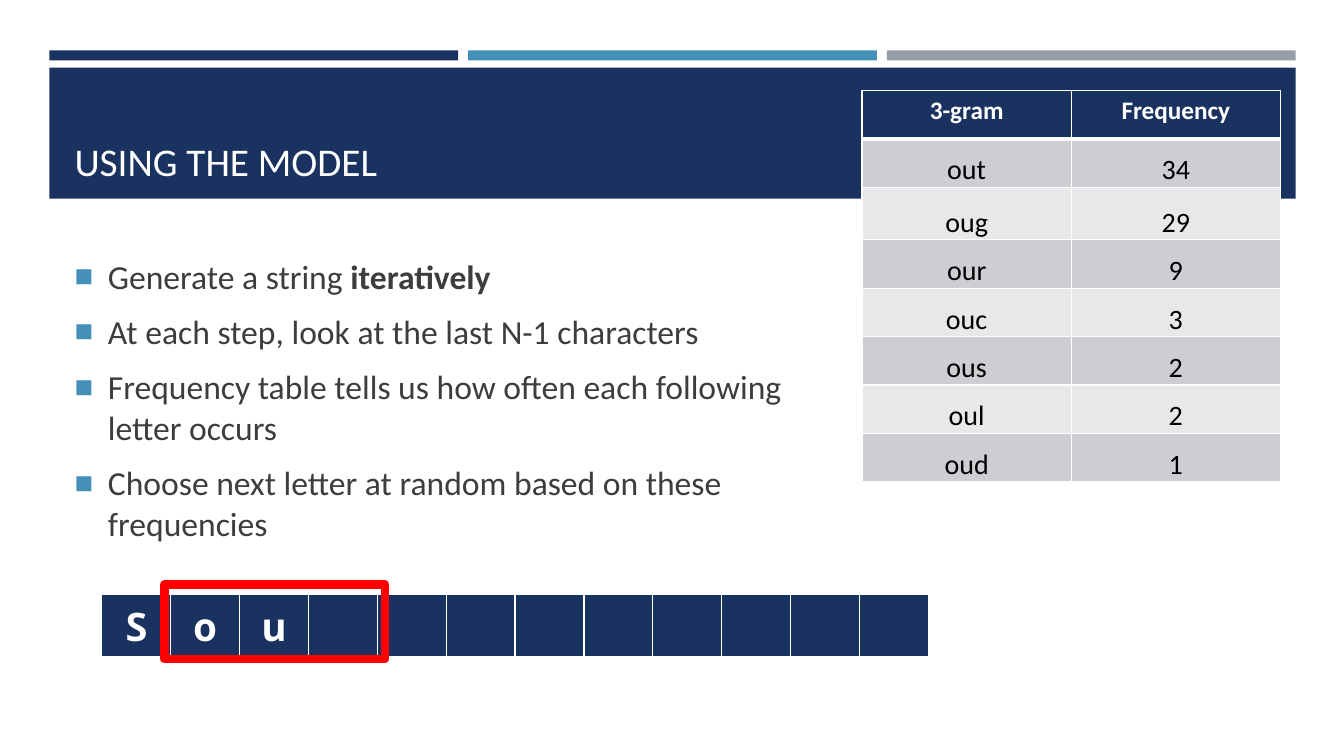
from pptx import Presentation
from pptx.dml.color import RGBColor
from pptx.enum.shapes import MSO_SHAPE
from pptx.enum.text import MSO_ANCHOR, MSO_AUTO_SIZE, PP_ALIGN
from pptx.oxml import parse_xml
from pptx.oxml.ns import nsdecls
from pptx.util import Inches, Pt

NAVY = RGBColor(0x1A, 0x32, 0x60)
BLUE = RGBColor(0x45, 0x90, 0xB8)
GREY = RGBColor(0x96, 0x9F, 0xA7)
DARK = RGBColor(0x3D, 0x3D, 0x3D)
BAND = RGBColor(0xCD, 0xCE, 0xD2)
PALE = RGBColor(0xE8, 0xE8, 0xEA)
WHITE = RGBColor(0xFF, 0xFF, 0xFF)
BLACK = RGBColor(0, 0, 0)
RED = RGBColor(0xFF, 0, 0)
SANS = "Calibri"
MONO = "Noto Sans Mono"

POINTS = [
    [("Generate a string ", False), ("iteratively", True)],
    [("At each step, look at the last N-1 characters", False)],
    [("Frequency table tells us how often each following letter occurs", False)],
    [("Choose next letter at random based on these frequencies", False)],
]
GRAMS = [("3-gram", "Frequency"), ("out", "34"), ("oug", "29"), ("our", "9"),
         ("ouc", "3"), ("ous", "2"), ("oul", "2"), ("oud", "1")]
LETTERS = ["S", "o", "u"] + [""] * 9


def add_run(para, text, size, color, bold=False, face=SANS):
    run = para.add_run()
    run.text = text
    font = run.font
    font.name, font.size, font.bold = face, Pt(size), bold
    font.color.rgb = color


def add_rect(slide, box, fill=None, line=None, width=0):
    rect = slide.shapes.add_shape(MSO_SHAPE.RECTANGLE, *map(Inches, box))
    rect.shadow.inherit = False
    if fill is None:
        rect.fill.background()
    else:
        rect.fill.solid()
        rect.fill.fore_color.rgb = fill
    if line is None:
        rect.line.fill.background()
    else:
        rect.line.color.rgb = line
        rect.line.width = Pt(width)


def place(shape, box, anchor):
    shape.left, shape.top, shape.width, shape.height = map(Inches, box)
    frame = shape.text_frame
    frame.word_wrap = True
    frame.auto_size = MSO_AUTO_SIZE.NONE
    frame.vertical_anchor = anchor
    return frame


def add_banner(slide, box):
    left, top, width, height = box
    gap = 0.1
    bar = (width - 2 * gap) / 3
    # Three strips above the title band
    for i, color in enumerate((NAVY, BLUE, GREY)):
        add_rect(slide, (left + i * (bar + gap), top, bar, 0.1), color)
    add_rect(slide, (left, top + 0.17, width, height - 0.17), NAVY)


def fill_title(slide, box):
    para = place(slide.shapes.title, box, MSO_ANCHOR.BOTTOM).paragraphs[0]
    para.alignment = PP_ALIGN.LEFT
    add_run(para, "USING THE MODEL", 28, WHITE)


def add_bullet(para):
    props = para._p.get_or_add_pPr()
    props.set("marL", str(Inches(0.33)))
    props.set("indent", str(-Inches(0.33)))
    for xml in (f'<a:buClr {nsdecls("a")}><a:srgbClr val="{BLUE}"/></a:buClr>',
                f'<a:buSzPct {nsdecls("a")} val="92000"/>',
                f'<a:buChar {nsdecls("a")} char="■"/>'):
        props.append(parse_xml(xml))


def fill_body(slide, box):
    frame = place(slide.placeholders[1], box, MSO_ANCHOR.MIDDLE)
    for i, runs in enumerate(POINTS):
        para = frame.add_paragraph() if i else frame.paragraphs[0]
        add_bullet(para)
        para.space_before = Pt(4.8 if i else 0)
        para.space_after = Pt(6)
        for text, bold in runs:
            add_run(para, text, 24, DARK, bold)


def style_cell(cell, fill, base=1):
    cell.fill.solid()
    cell.fill.fore_color.rgb = fill
    props = cell._tc.get_or_add_tcPr()
    # Borders come before the fill: left, right, top, bottom
    for i, (side, width) in enumerate(zip("LRTB", (1, 1, 1, base))):
        props.insert(i, parse_xml(
            f'<a:ln{side} {nsdecls("a")} w="{Pt(width)}"><a:solidFill>'
            f'<a:srgbClr val="{WHITE}"/></a:solidFill></a:ln{side}>'))


def add_grid(slide, box, rows, cols):
    table = slide.shapes.add_table(rows, cols, *map(Inches, box)).table
    for col in table.columns:
        col.width = Inches(box[2] / cols)
    return table


def add_letters(slide, box):
    table = add_grid(slide, box, 1, len(LETTERS))
    for cell, text in zip(table.rows[0].cells, LETTERS):
        style_cell(cell, NAVY, 3)
        if text:
            para = cell.text_frame.paragraphs[0]
            para.alignment = PP_ALIGN.CENTER
            add_run(para, text, 28, WHITE, True, MONO)


def add_counts(slide, box):
    table = add_grid(slide, box, len(GRAMS), 2)
    for r, pair in enumerate(GRAMS):
        head = r == 0
        table.rows[r].height = Inches(0.52 if r == 2 else 0.48)
        for cell, text in zip(table.rows[r].cells, pair):
            style_cell(cell, NAVY if head else BAND if r % 2 else PALE,
                       3 if head else 1)
            para = cell.text_frame.paragraphs[0]
            para.alignment = PP_ALIGN.CENTER
            if head:
                add_run(para, text, 18, WHITE, True)
            else:
                cell.vertical_anchor = MSO_ANCHOR.BOTTOM
                cell.margin_left = cell.margin_right = Inches(0.01)
                cell.margin_top, cell.margin_bottom = Inches(0.01), 0
                add_run(para, text, 20, BLACK)


def main():
    deck = Presentation()
    deck.slide_width, deck.slide_height = Inches(13.33), Inches(7.5)
    slide = deck.slides.add_slide(deck.slide_layouts[1])
    add_banner(slide, (0.49, 0.5, 12.36, 1.47))
    # Keep the placeholders in front of the banner
    tree = slide.shapes._spTree
    for holder in list(slide.placeholders):
        tree.append(holder._element)
    fill_title(slide, (0.64, 0.77, 12.06, 1.11))
    fill_body(slide, (0.64, 2.38, 7.67, 3.16))
    add_letters(slide, (1.01, 5.9, 8.2, 0.6))
    add_counts(slide, (8.55, 0.9, 4.15, 3.88))
    # Window over the last letters
    add_rect(slide, (1.63, 5.8, 2.19, 0.74), line=RED, width=6)
    deck.save("out.pptx")


if __name__ == "__main__":
    main()
